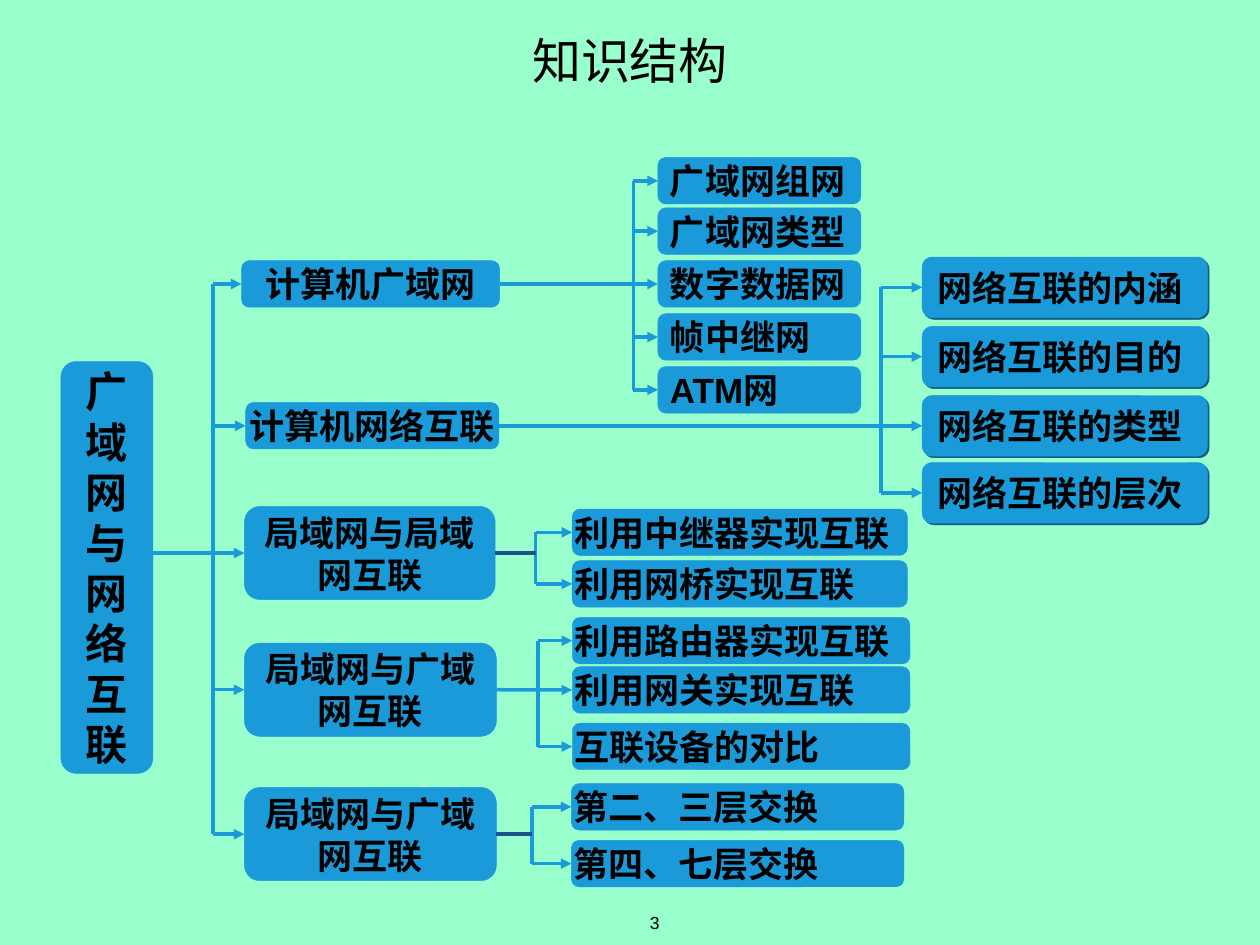
from pptx import Presentation
from pptx.dml.color import RGBColor
from pptx.enum.shapes import MSO_CONNECTOR, MSO_SHAPE
from pptx.enum.text import MSO_ANCHOR, PP_ALIGN
from pptx.oxml.xmlchemy import OxmlElement
from pptx.util import Pt

STRAIGHT = MSO_CONNECTOR.STRAIGHT
ROUND = MSO_SHAPE.ROUNDED_RECTANGLE
MIDDLE = MSO_ANCHOR.MIDDLE
LEFT, CENTER = PP_ALIGN.LEFT, PP_ALIGN.CENTER
LEFT_SIDE, RIGHT_SIDE = 1, 3

HEX = {"page": "99FFCC", "box": "1B9AD9", "stem": "1D528D",
       "shade": "105C82", "text": "000000"}
HAN, LATIN = "Noto Sans CJK SC", "Arial"
LOW, MID, TALL = 26.6, 34.6, 53.3
NEAR = 1  # a child this level with its parent shares one line with the stem

TITLE = ("知识结构", 0, 12.2, 720, 44.6, 28, HAN)
NUMBER = ("3", 297.4, 514, 153.4, 26, 10, LATIN)

# text, left, top, width, height, font
ROOT = ("广域网与网络互联", 34.8, 206.6, 52.6, 235.4, HAN)
TOPICS = [
    ("计算机广域网", 138, 149, 147.5, LOW, LATIN),
    ("计算机网络互联", 140.4, 230, 144.7, LOW, HAN),
    ("局域网与局域\n网互联", 139.7, 289.4, 143.3, TALL, LATIN),
    ("局域网与广域网互联", 139.7, 367.5, 144, TALL, LATIN),
    ("局域网与广域网互联", 139.7, 450, 144, TALL, LATIN),
]
TRUNK = 121.6

# one branch per topic: trunk x, box left, width, height, look, leaves
BRANCHES = [
    (362, 376, 116, LOW, "indent",
     [("广域网组网", 90), ("广域网类型", 118.8), ("数字数据网", 149),
      ("帧中继网", 179.3), ("ATM网", 209.5)]),
    (503.6, 527, 163, MID, "shade",
     [("网络互联的内涵", 146.9), ("网络互联的目的", 186.5),
      ("网络互联的类型", 226), ("网络互联的层次", 264.3)]),
    (306, 327, 191.5, LOW, "plain",
     [("利用中继器实现互联", 290.9), ("利用网桥实现互联", 320.4)]),
    (307.4, 327, 193, LOW, "plain",
     [("利用路由器实现互联", 352.8), ("利用网关实现互联", 381),
      ("互联设备的对比", 413.3)]),
    (304, 326.5, 190, LOW, "plain",
     [("第二、三层交换", 447.8), ("第四、七层交换", 480.2)]),
]
# left, top, right, bottom insets and font by look
LOOKS = {"indent": ((5.6, 0, 0, 0), LATIN), "plain": ((0, 0, 0, 0), LATIN),
         "shade": ((7.2, 3.6, 7.2, 3.6), HAN)}

deck = Presentation()
deck.slide_width, deck.slide_height = Pt(720), Pt(540)
slide = deck.slides.add_slide(deck.slide_layouts[6])
slide.background.fill.solid()
slide.background.fill.fore_color.rgb = RGBColor.from_string(HEX["page"])


def write(shape, text, size, face, bold, align, inset, pitch=None):
    frame = shape.text_frame
    form = {"word_wrap": True, "vertical_anchor": MIDDLE}
    for side, gap in zip(("left", "top", "right", "bottom"), inset):
        form["margin_" + side] = Pt(gap)
    for key, value in form.items():
        setattr(frame, key, value)
    for i, line in enumerate(text.split("\n")):
        para = frame.add_paragraph() if i else frame.paragraphs[0]
        para.alignment = align
        if pitch:
            para.line_spacing = Pt(pitch)
        run = para.add_run()
        run.text = line
        for key, value in {"name": face, "size": Pt(size), "bold": bold}.items():
            setattr(run.font, key, value)
        run.font.color.rgb = RGBColor.from_string(HEX["text"])
        east = OxmlElement("a:ea")
        east.set("typeface", face)
        run._r.get_or_add_rPr().append(east)


def label(text, x, y, w, h, size, face):
    shape = slide.shapes.add_textbox(Pt(x), Pt(y), Pt(w), Pt(h))
    write(shape, text, size, face, False, CENTER, (7.2, 3.6, 7.2, 3.6))


def add_box(text, x, y, w, h, face, align=CENTER, inset=(0, 0, 0, 0),
            size=20, pitch=None):
    shape = slide.shapes.add_shape(ROUND, Pt(x), Pt(y), Pt(w), Pt(h))
    shape.shadow.inherit = False
    shape.fill.solid()
    for fill in (shape.fill, shape.line.fill):
        fill.solid()
        fill.fore_color.rgb = RGBColor.from_string(HEX["box"])
    shape.line.width = Pt(0.25)
    write(shape, text, size, face, True, align, inset, pitch)
    return shape


def shade(shape):
    drop = OxmlElement("a:outerShdw")
    for key, value in {"blurRad": 0, "dist": Pt(1.4), "dir": 45 * 60000,
                       "algn": "ctr", "rotWithShape": 0}.items():
        drop.set(key, str(int(value)) if key != "algn" else value)
    tint = OxmlElement("a:srgbClr")
    tint.set("val", HEX["shade"])
    drop.append(tint)
    shape._element.spPr.find("{*}effectLst").append(drop)


def middle(shape):
    return shape.top + shape.height // 2


def draw(x1, y1, x2, y2, start=None, end=None, hue="box", width=2):
    """Line that joins start's right side and points at end's left side."""
    line = slide.shapes.add_connector(STRAIGHT, x1, y1, x2, y2)
    line.line.color.rgb = RGBColor.from_string(HEX[hue])
    line.line.width = Pt(width)
    if end:
        head = OxmlElement("a:tailEnd")
        head.set("type", "triangle")
        line.line._get_or_add_ln().append(head)
        line.end_connect(end, LEFT_SIDE)
    if start:
        line.begin_connect(start, RIGHT_SIDE)
    line._element.spPr.append(OxmlElement("a:effectLst"))


def link(parent, kids, trunk):
    """Trunk through all kids, an arrow to each, and a stem from the parent."""
    x, edge, level = Pt(trunk), parent.left + parent.width, middle(parent)
    draw(x, middle(kids[0]), x, middle(kids[-1]))
    shared = [kid for kid in kids if abs(middle(kid) - level) < Pt(NEAR)]
    for kid in kids:
        y = middle(kid)
        if kid in shared:
            draw(edge, level, kid.left, y, parent, kid)
        else:
            draw(x, y, kid.left, y, end=kid)
    if not shared:
        draw(edge, level, x, level, parent, hue="stem", width=2.25)


label(*TITLE)
label(*NUMBER)

root = add_box(*ROOT, inset=(10, 0, 10, 0), size=24, pitch=28.8)
topics = [add_box(*topic) for topic in TOPICS]
core = topics[2]
draw(Pt(TRUNK), middle(topics[0]), Pt(TRUNK), middle(topics[-1]))
for topic in topics:
    x = root.left + root.width if topic is core else Pt(TRUNK)
    draw(x, middle(topic), topic.left, middle(topic), end=topic)

for topic, (trunk, x, w, h, look, leaves) in zip(topics, BRANCHES):
    inset, face = LOOKS[look]
    kids = [add_box(text, x, y, w, h, face, LEFT, inset) for text, y in leaves]
    if look == "shade":
        for kid in kids:
            shade(kid)
    link(topic, kids, trunk)

deck.save("out.pptx")
